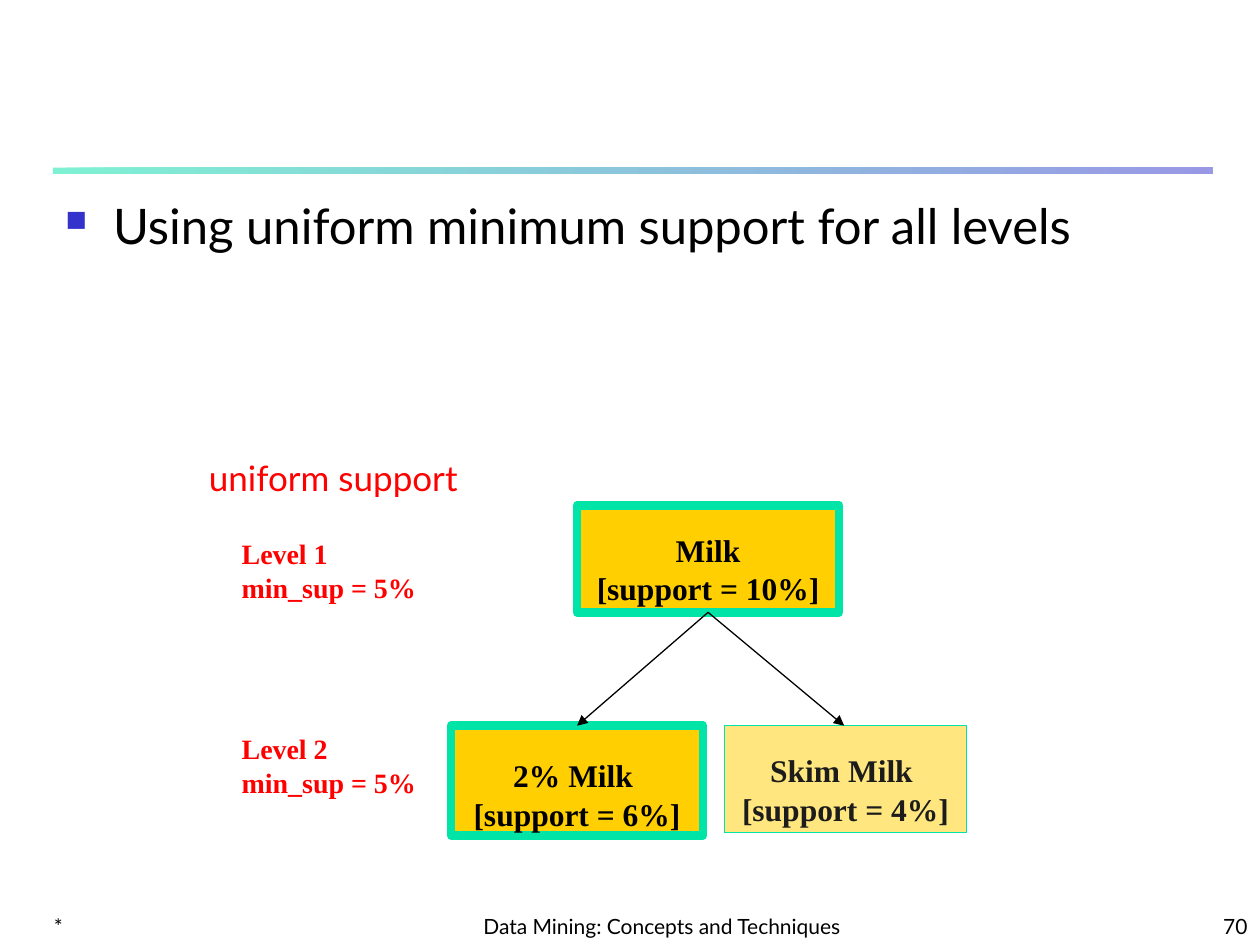
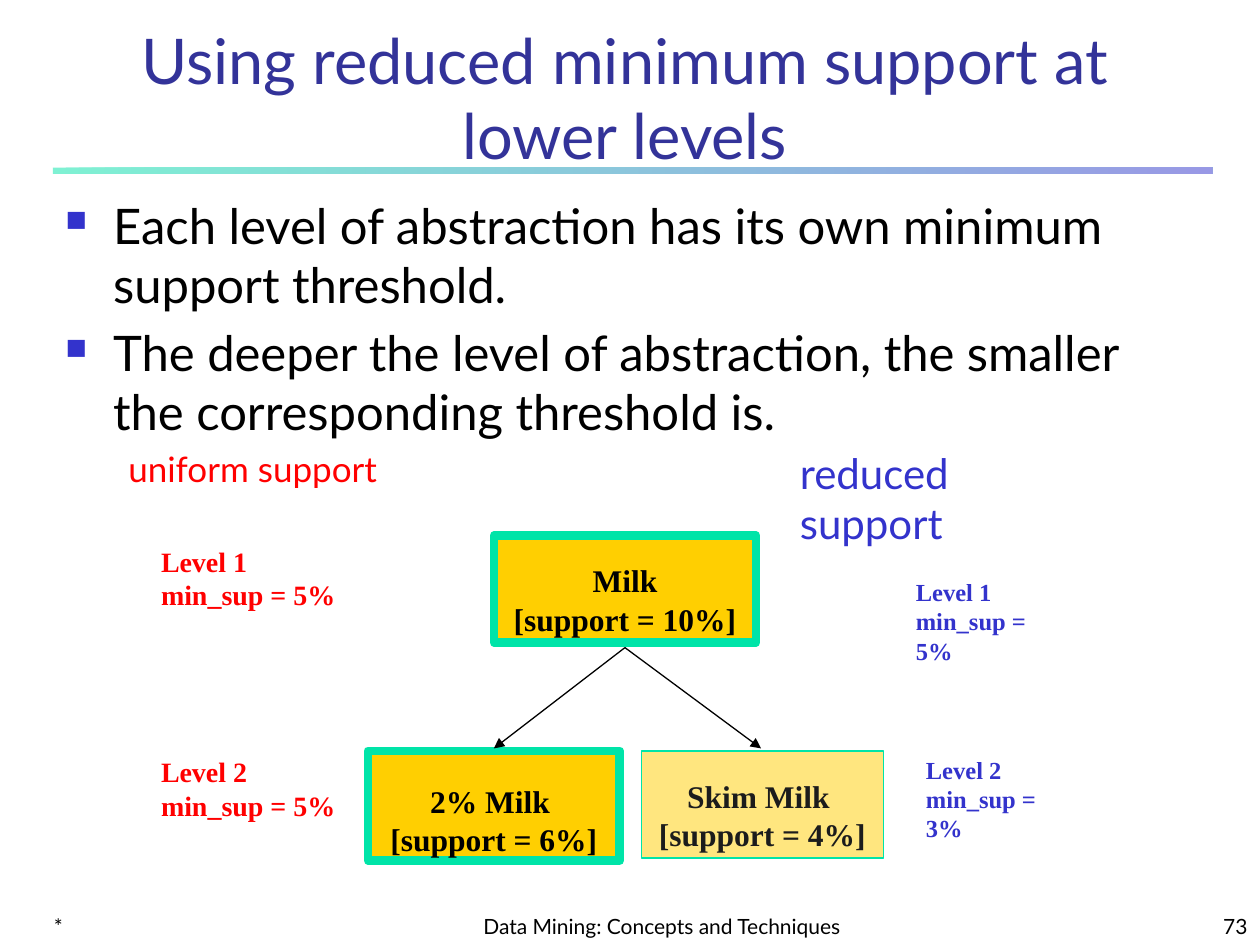
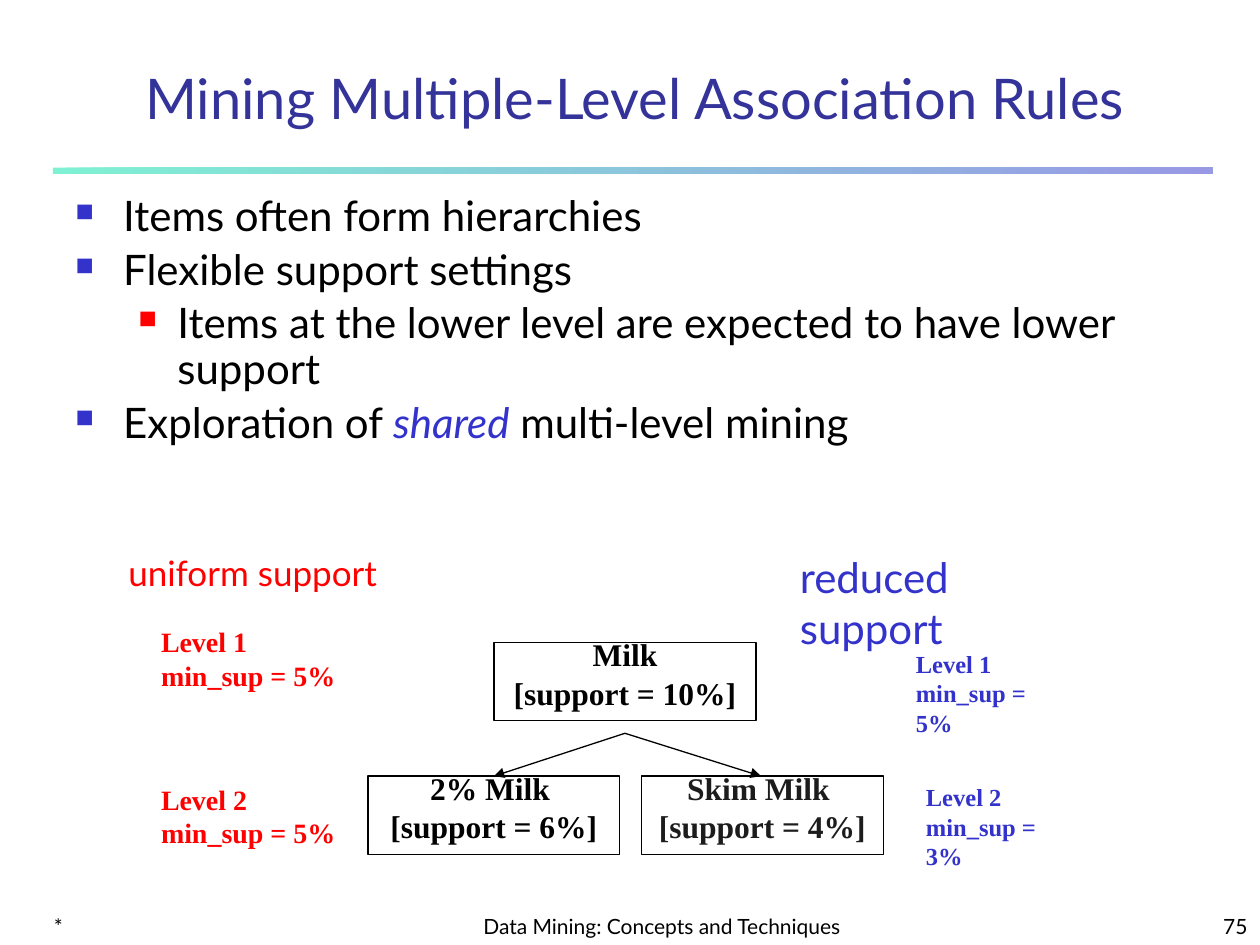
from pptx import Presentation
from pptx.dml.color import RGBColor
from pptx.enum.shapes import MSO_CONNECTOR, MSO_SHAPE
from pptx.enum.text import MSO_ANCHOR, MSO_AUTO_SIZE, PP_ALIGN
from pptx.oxml.ns import qn
from pptx.util import Inches, Pt
from lxml import etree

LEFT, CENTER, RIGHT = PP_ALIGN.LEFT, PP_ALIGN.CENTER, PP_ALIGN.RIGHT
TOP, BOTTOM = MSO_ANCHOR.TOP, MSO_ANCHOR.BOTTOM
RECT, STRAIGHT = MSO_SHAPE.RECTANGLE, MSO_CONNECTOR.STRAIGHT
NO_FIT = MSO_AUTO_SIZE.NONE
TITLE_ONLY, BLANK = 5, 6

SANS, SERIF = "Lato", "Times New Roman"
COLORS = {
    "text": "000000",
    "soft": "1C1C1C",
    "title": "333399",
    "blue": "3333CC",
    "red": "FF0000",
    "green": "00E4A8",
    "gold": "FFCF01",
    "white": "FFFFFF",
}
FOOTER = "Data Mining: Concepts and Techniques"


def rgb(name):
    return RGBColor.from_string(COLORS[name])


def sub(parent, tag, **attrs):
    return etree.SubElement(parent, qn(tag), attrs)


def set_alpha(shape, percent):
    """Make the fill colours set so far partly transparent."""
    for color in shape.element.spPr.iter(qn("a:srgbClr")):
        sub(color, "a:alpha", val=str(percent * 1000))


def set_font(font, size, color, name=SANS, bold=False):
    font.size, font.name, font.bold = Pt(size), name, bold
    font.color.rgb = rgb(color)


def place(shape, x, y, w, h):
    shape.left, shape.top = Inches(x), Inches(y)
    shape.width, shape.height = Inches(w), Inches(h)


def frame(shape, anchor=TOP):
    tf = shape.text_frame
    tf.word_wrap, tf.auto_size, tf.vertical_anchor = True, NO_FIT, anchor
    return tf


def add_text(s, x, y, w, h, lines, size, color, name=SANS, bold=False,
             align=LEFT, anchor=TOP):
    tf = frame(s.shapes.add_textbox(Inches(x), Inches(y), Inches(w), Inches(h)), anchor)
    tf.text = "\n".join(lines)
    for p in tf.paragraphs:
        p.alignment = align
        set_font(p.font, size, color, name, bold)


# Shared slide parts

def add_slide(prs, number, title=None, box=None, size=36):
    s = prs.slides.add_slide(prs.slide_layouts[TITLE_ONLY if title else BLANK])
    add_band(s, 0.42, 1.33, 9.2, 0.05)
    if title:
        place(s.shapes.title, *box)
        tf = frame(s.shapes.title, BOTTOM)
        tf.text = title
        p = tf.paragraphs[0]
        p.alignment = CENTER
        set_font(p.font, size, "title")
    add_footer(s, 7.08, 0.42, number)
    return s


def add_band(s, x, y, w, h):
    band = s.shapes.add_shape(RECT, Inches(x), Inches(y), Inches(w), Inches(h))
    band.shadow.inherit = False
    band.line.fill.background()
    band.fill.gradient()
    band.fill.gradient_angle = 0
    for stop, color in zip(band.fill.gradient_stops, ("green", "blue")):
        stop.color.rgb = rgb(color)
    set_alpha(band, 50)


def add_footer(s, y, h, number):
    for x, w, text, align in ((0.33, 2.08, "*", LEFT),
                              (3.67, 3.17, FOOTER, CENTER),
                              (7.92, 2.08, str(number), RIGHT)):
        add_text(s, x, y, w, h, [text], 12, "text", align=align, anchor=BOTTOM)


# Bulleted body: each item is (level, text); *stars* mark an emphasised word

def add_body(s, x, y, w, h, items, size, spacing=1.0):
    indents = ((0.38, 0.38, "blue"), (0.81, 0.31, "red"))
    tf = frame(s.shapes.add_textbox(Inches(x), Inches(y), Inches(w), Inches(h)))
    for i, (level, text) in enumerate(items):
        p = tf.add_paragraph() if i else tf.paragraphs[0]
        p.level, p.line_spacing = level, spacing
        p.space_before = Pt(0.2 * size if i else 0)
        margin, hang, color = indents[level]
        pPr = p._p.get_or_add_pPr()
        pPr.set("marL", str(Inches(margin)))
        pPr.set("indent", str(-Inches(hang)))
        sub(sub(pPr, "a:buClr"), "a:srgbClr", val=COLORS[color])
        sub(pPr, "a:buSzPct", val="60000")
        sub(pPr, "a:buChar", char="■")
        set_font(p.font, size, "text")
        for j, part in enumerate(text.split("*")):
            r = p.add_run()
            r.text = part
            set_font(r.font, size, "blue" if j % 2 else "text")
            r.font.italic = bool(j % 2)


# Milk hierarchy: one parent box, two child boxes, two arrows

def add_item(s, x, y, w, h, lines, inset, fill, line, line_width,
             color="text", alpha=None):
    box = s.shapes.add_shape(RECT, Inches(x), Inches(y), Inches(w), Inches(h))
    box.shadow.inherit = False
    box.fill.solid()
    box.fill.fore_color.rgb = rgb(fill)
    if alpha:
        set_alpha(box, alpha)
    box.line.color.rgb = rgb(line)
    box.line.width = Pt(line_width)
    tf = frame(box)
    tf.margin_top = Inches(inset)
    tf.text = "\n".join(lines)
    for i, p in enumerate(tf.paragraphs):
        p.alignment, p.line_spacing = CENTER, 0.6
        p.space_before = Pt(9 if i else 0)
        set_font(p.font, 18, color, SERIF, True)


def add_arrow(s, x1, y1, x2, y2):
    c = s.shapes.add_connector(STRAIGHT, Inches(x1), Inches(y1), Inches(x2), Inches(y2))
    c.line.color.rgb = rgb("text")
    c.line.width = Pt(0.75)
    sub(c.line._get_or_add_ln(), "a:tailEnd", type="triangle")
    sub(c.element.spPr, "a:effectLst")


def add_hierarchy(s, x, y, child_dy, apex_dy, tip_dy, filled=True):
    """x, y is the corner of the parent box; the rest are offsets below it."""
    if filled:
        h, insets = 0.85, (0.31, 0.35, 0.31)
        strong = {"fill": "gold", "line": "green", "line_width": 5}
        faint = {"fill": "gold", "line": "green", "line_width": 0.75, "alpha": 50}
    else:
        h, insets = 0.62, (0.05, 0.05, 0.05)
        strong = faint = {"fill": "white", "line": "text", "line_width": 0.75}
    add_item(s, x, y, 2.08, h, ["Milk", "[support = 10%]"], insets[0], **strong)
    add_item(s, x - 1, y + child_dy, 2, h + 0.02 * filled,
             ["2% Milk ", "[support = 6%]"], insets[1], **strong)
    add_item(s, x + 1.17, y + child_dy, 1.92, h,
             ["Skim Milk ", "[support = 4%]"], insets[2], color="soft", **faint)
    for tip_dx in (0, 2.12):
        add_arrow(s, x + 1.04, y + apex_dy, x + tip_dx, y + tip_dy)


# Threshold labels: a heading with one label for each level

def add_thresholds(s, x, y, heading, levels, color, sizes, widths):
    add_text(s, x, y, widths[0], 0.7, [heading], sizes[0], color)
    for i, (dx, dy, min_sup) in enumerate(levels, 1):
        add_text(s, x + dx, y + dy, widths[1], 0.64,
                 [f"Level {i}", f"min_sup = {min_sup}"], sizes[1], color, SERIF, True)


def add_uniform(s, x, y, dy1, dy2):
    add_thresholds(s, x, y, "uniform support",
                   [(0.26, dy1, "5%"), (0.26, dy2, "5%")], "red", (20, 16), (2.67, 1.6))


def add_reduced(s, x, y, dy1, dy2):
    add_thresholds(s, x, y, "reduced support",
                   [(0.92, dy1, "5%"), (1, dy2, "3%")], "blue", (24, 14), (2.5, 1.35))


# Slides

def uniform_slide(prs):
    s = add_slide(prs, 70)
    add_body(s, 0.42, 1.5, 9.17, 5.58,
             [(0, "Using uniform minimum support for all levels")], 28)
    add_uniform(s, 1.56, 3.57, 0.64, 2.19)
    add_hierarchy(s, 4.58, 4.01, 1.75, 0.85, 1.75)


def reduced_slide(prs):
    s = add_slide(prs, 73, "Using reduced minimum support at lower levels",
                  (0.42, 0.5, 9.08, 0.92))
    add_body(s, 0.42, 1.5, 9.17, 5.58, [
        (0, "Each level of abstraction has its own minimum support threshold."),
        (0, "The deeper the level of abstraction, the smaller the corresponding "
            "threshold is."),
    ], 28)
    add_uniform(s, 0.92, 3.5, 0.77, 2.44)
    add_reduced(s, 6.25, 3.5, 1.03, 2.44)
    add_hierarchy(s, 3.92, 4.25, 1.71, 0.89, 1.69)


def summary_slide(prs):
    s = add_slide(prs, 75, "Mining Multiple-Level Association Rules",
                  (0.75, 0.42, 8.58, 0.67), 32)
    add_body(s, 0.5, 1.5, 9.17, 2.58, [
        (0, "Items often form hierarchies"),
        (0, "Flexible support settings"),
        (1, "Items at the lower level are expected to have lower support"),
        (0, "Exploration of *shared* multi-level mining"),
    ], 24, 0.9)
    add_uniform(s, 0.92, 4.33, 0.58, 1.83)
    add_reduced(s, 6.25, 4.33, 0.77, 1.83)
    add_hierarchy(s, 3.92, 5.1, 1.06, 0.72, 1.06, filled=False)


def main():
    prs = Presentation()
    prs.slide_width, prs.slide_height = Inches(10), Inches(7.5)
    uniform_slide(prs)
    reduced_slide(prs)
    summary_slide(prs)
    prs.save("out.pptx")


if __name__ == "__main__":
    main()
